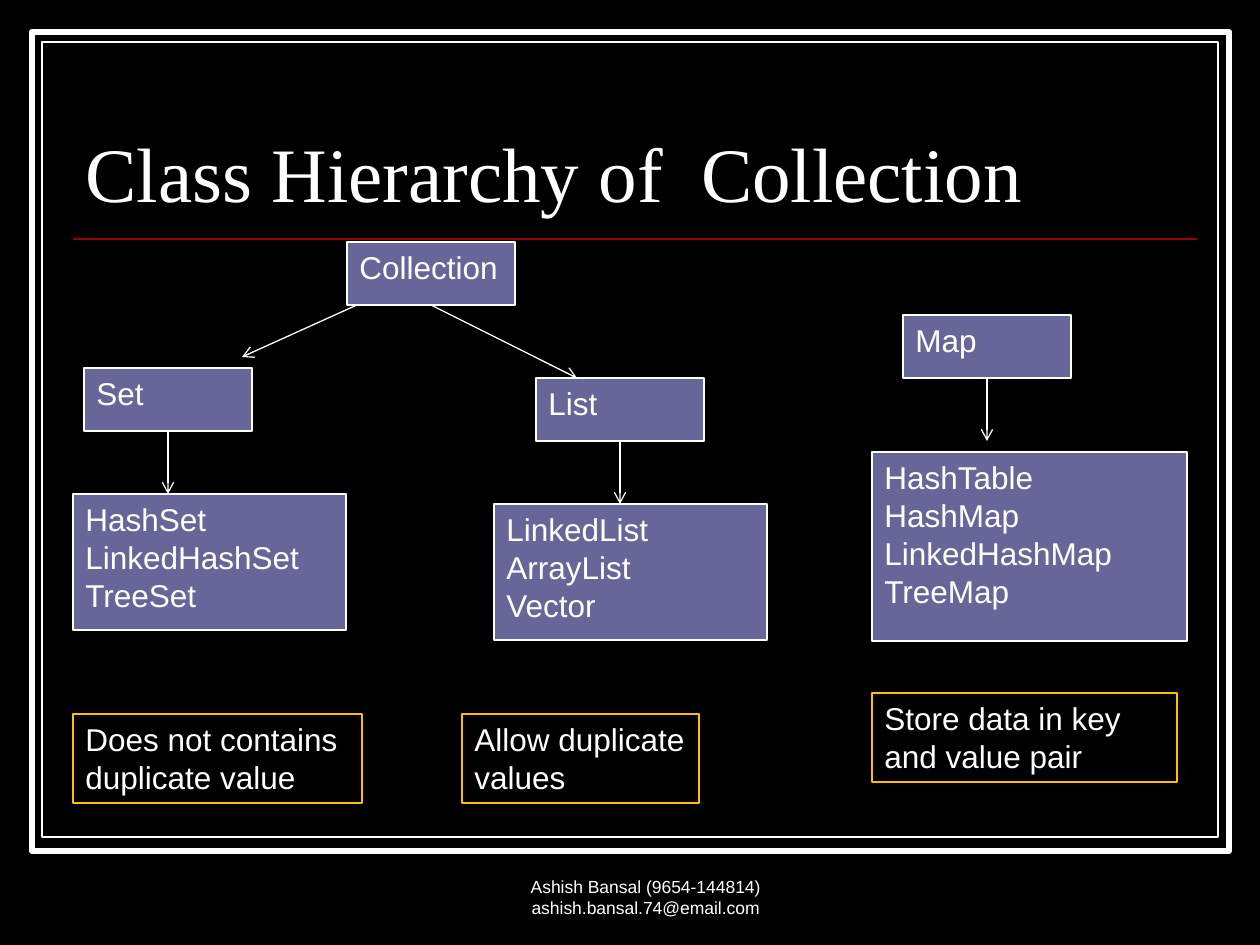
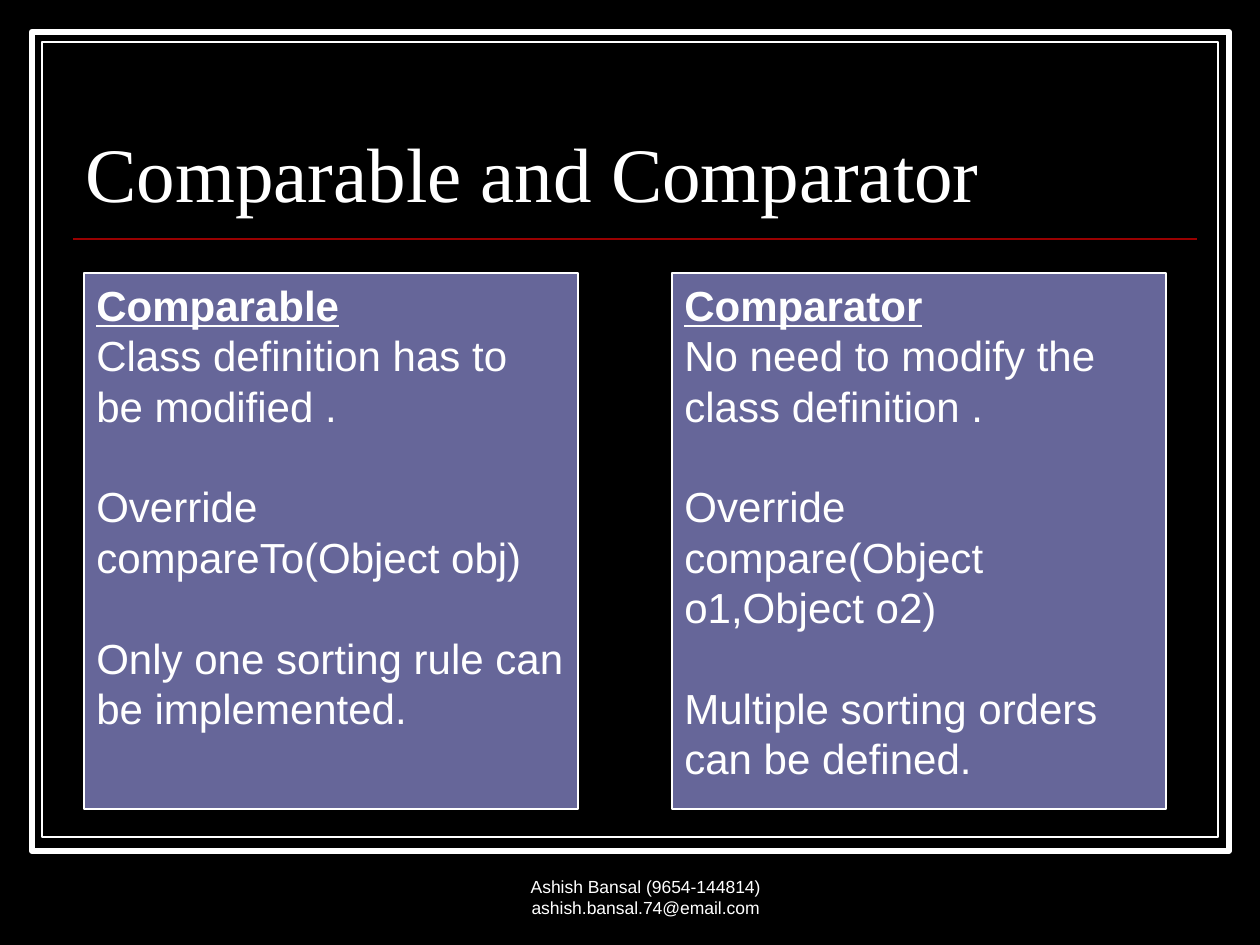
from lxml import etree
from pptx import Presentation
from pptx.dml.color import RGBColor
from pptx.enum.shapes import MSO_CONNECTOR, MSO_SHAPE
from pptx.enum.text import MSO_ANCHOR, MSO_AUTO_SIZE, PP_ALIGN
from pptx.oxml.ns import qn
from pptx.util import Emu, Pt

RECTANGLE = MSO_SHAPE.RECTANGLE
STRAIGHT = MSO_CONNECTOR.STRAIGHT
TOP, BOTTOM = MSO_ANCHOR.TOP, MSO_ANCHOR.BOTTOM
LEFT, CENTER = PP_ALIGN.LEFT, PP_ALIGN.CENTER
NO_AUTOFIT = MSO_AUTO_SIZE.NONE

EMU_PER_PIXEL = 914400 / 126
COLORS = {"black": "000000", "white": "FFFFFF", "box": "666699",
          "rule": "990000", "note": "FFC000"}
TITLE_FONT, BODY_FONT = "Times New Roman", "Arial"
FOOTER = "Ashish Bansal (9654-144814) ashish.bansal.74@email.com"


def px(*values):
    return [Emu(round(value * EMU_PER_PIXEL)) for value in values]


def color(name):
    return RGBColor.from_string(COLORS[name])


class Deck:
    def __init__(self):
        self.presentation = Presentation()
        self.presentation.slide_width, self.presentation.slide_height = px(1260, 945)
        self.layout = self.presentation.slide_layouts.get_by_name("Title Only")
        fill = self.presentation.slide_master.background.fill
        fill.solid()
        fill.fore_color.rgb = color("black")
        self.slide = None

    def add_slide(self, title):
        first = self.slide is None
        self.slide = self.presentation.slides.add_slide(self.layout)
        if first:
            self.frame_layout()
        shape = self.slide.shapes.title
        shape.left, shape.top, shape.width, shape.height = px(73, 66, 1124, 158)
        self.text(shape, [title], 44, TITLE_FONT, anchor=BOTTOM)
        shape.text_frame.paragraphs[0].line_spacing = 0.8
        footer = self.slide.shapes.add_textbox(*px(446, 861, 399, 63))
        self.text(footer, [FOOTER], 10, align=CENTER, anchor=BOTTOM)

    def frame_layout(self):
        """Draw the double frame and title rule, then move them to the layout."""
        parts = [self.rectangle((32, 32, 1197, 819), "black", "white", 3.5),
                 self.rectangle((42, 42, 1176, 795), "black", "white"),
                 self.line((73, 239), (1197, 239), "rule", 1)]
        for index, part in enumerate(parts):
            part.element.xpath(".//p:cNvPr")[0].set("id", str(20 + index))
            self.layout.shapes.element.insert(2 + index, part.element)

    def text(self, shape, lines, size, font=BODY_FONT, align=LEFT, anchor=TOP,
             heading=False, gaps=()):
        """One paragraph a line; a newline breaks it, gaps open space before it."""
        frame = shape.text_frame
        frame.word_wrap = True
        frame.auto_size = NO_AUTOFIT
        frame.vertical_anchor = anchor
        for index, line in enumerate(lines):
            paragraph = frame.add_paragraph() if index else frame.paragraphs[0]
            paragraph.alignment = align
            paragraph.space_before = Pt(size * 1.2 if index in gaps else 0)
            for part_index, part in enumerate(line.split("\n")):
                if part_index:
                    paragraph.add_line_break()
                run = paragraph.add_run()
                run.text = part
                run.font.name = font
                run.font.size = Pt(size)
                run.font.color.rgb = color("white")
                if heading and index == 0:
                    run.font.bold = run.font.underline = True

    def rectangle(self, place, fill, line, width=0.75):
        shape = self.slide.shapes.add_shape(RECTANGLE, *px(*place))
        shape.shadow.inherit = False
        if fill:
            shape.fill.solid()
            shape.fill.fore_color.rgb = color(fill)
        else:
            shape.fill.background()
        shape.line.color.rgb = color(line)
        shape.line.width = Pt(width)
        return shape

    def box(self, place, lines, size=18, **style):
        self.text(self.rectangle(place, "box", "white"), lines, size, **style)

    def note(self, place, line):
        self.text(self.rectangle(place, None, "note"), [line], 18)

    def line(self, start, end, name="white", width=0.75):
        connector = self.slide.shapes.add_connector(STRAIGHT, *px(*start, *end))
        connector.line.color.rgb = color(name)
        connector.line.width = Pt(width)
        etree.SubElement(connector.element.spPr, qn("a:effectLst"))
        return connector

    def arrow(self, start, end):
        outline = self.line(start, end).get_or_add_ln()
        etree.SubElement(outline, qn("a:tailEnd"), type="arrow")


deck = Deck()

# Slide 1: class hierarchy
deck.add_slide("Class Hierarchy of  Collection")
TYPE_SIZE = (168, 63)
types = {"Collection": (347, 242), "Set": (84, 368),
         "List": (536, 378), "Map": (903, 315)}
for name, corner in types.items():
    deck.box((*corner, *TYPE_SIZE), [name])

classes = [
    ((73, 494, 273, 136), ["HashSet", "LinkedHashSet", "TreeSet"]),
    ((494, 504, 273, 136), ["LinkedList", "ArrayList", "Vector"]),
    ((872, 452, 315, 189), ["HashTable", "HashMap", "LinkedHashMap", "TreeMap"]),
]
for place, names in classes:
    deck.box(place, names)

deck.arrow((357, 305), (242, 357))
deck.arrow((431, 305), (577, 378))
for name in ("Set", "List", "Map"):
    left, top = types[name]
    center, bottom = left + TYPE_SIZE[0] // 2, top + TYPE_SIZE[1]
    deck.arrow((center, bottom), (center, bottom + 63))

deck.note((73, 714, 289, 89), "Does not contains\nduplicate value")
deck.note((462, 714, 237, 89), "Allow duplicate\nvalues")
deck.note((872, 693, 305, 89), "Store data in key and value pair")

# Slide 2: comparison of the two interfaces
deck.add_slide("Comparable and Comparator")
comparison = [
    (84, (2, 3), ["Comparable", "Class definition has to be modified .",
                  "Override compareTo(Object obj)",
                  "Only one sorting rule can be implemented."]),
    (672, (2, 4), ["Comparator", "No need to modify the class definition .",
                   "Override", "compare(Object o1,Object o2)",
                   "Multiple sorting orders can be defined."]),
]
for left, gaps, lines in comparison:
    deck.box((left, 273, 494, 536), lines, 24, heading=True, gaps=gaps)

deck.presentation.save("out.pptx")
